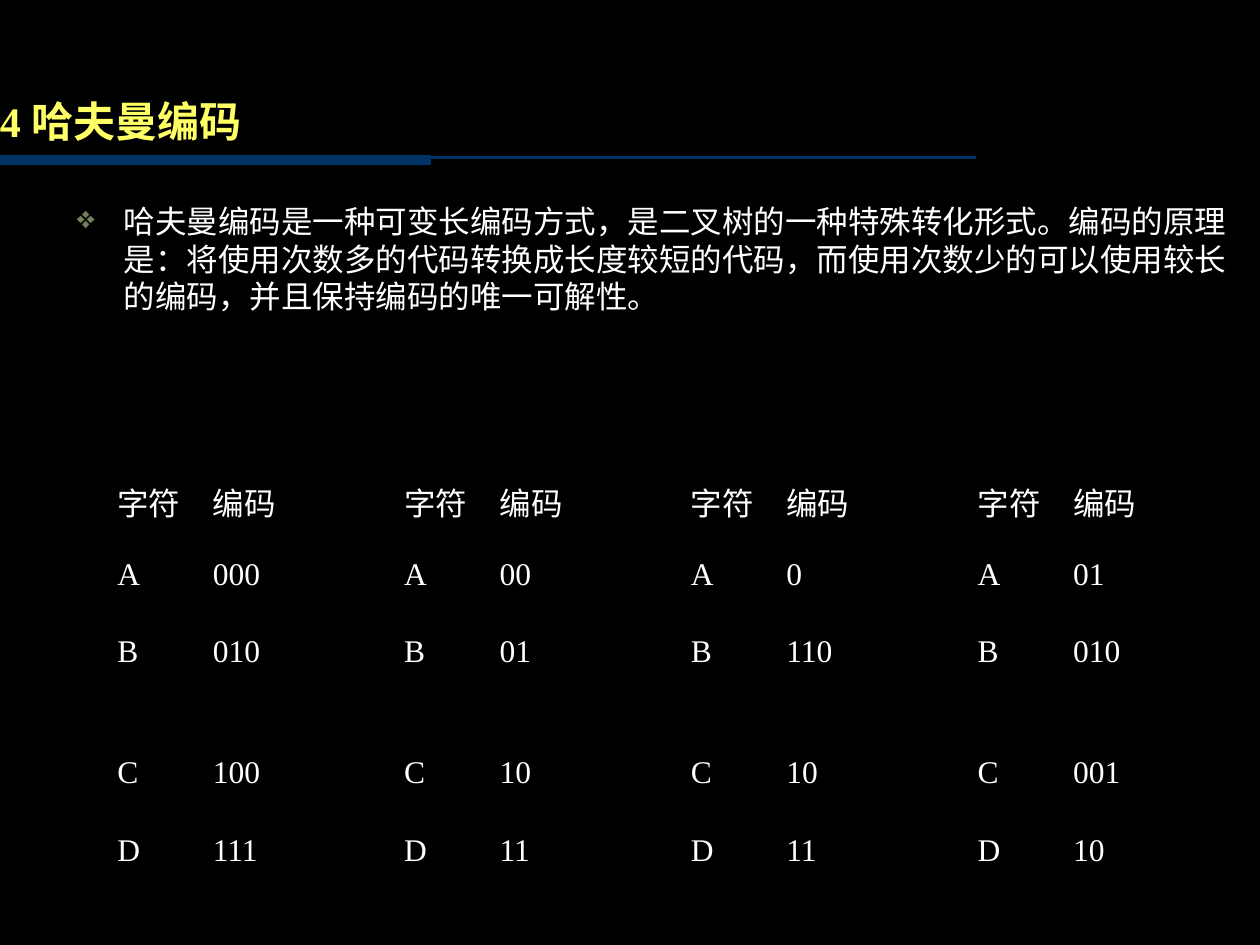
from lxml import etree
from pptx import Presentation
from pptx.dml.color import RGBColor
from pptx.enum.shapes import MSO_CONNECTOR
from pptx.oxml.ns import qn
from pptx.util import Cm, Pt

STRAIGHT = MSO_CONNECTOR.STRAIGHT
COLORS = {"background": "000000", "rule": "003366", "title": "FFFF66",
          "text": "FFFFFF", "bullet": "6E815B"}
HANGING = 0.95
TITLE = "4 哈夫曼编码"
BODY = ("哈夫曼编码是一种可变长编码方式，是二叉树的一种特殊转化形式。"
        "编码的原理是：将使用次数多的代码转换成长度较短的代码，"
        "而使用次数少的可以使用较长的编码，并且保持编码的唯一可解性。")
HEADER = ["字符", "编码"]
LETTERS = "ABCD"
CODINGS = [
    ["000", "010", "100", "111"],
    ["00", "01", "10", "11"],
    ["0", "110", "10", "11"],
    ["01", "010", "001", "10"],
]
ROW_HEIGHTS = [1.57, 1.57, 2.44, 1.57, 1.57]


def rgb(name):
    return RGBColor.from_string(COLORS[name])


def write(tf, text, size=18, color="text", bold=False, hanging=0, bullet=None):
    p = tf.paragraphs[0]
    pPr = p._p.get_or_add_pPr()
    if hanging:
        pPr.set("marL", str(Cm(hanging)))
        pPr.set("indent", str(-Cm(hanging)))
    if bullet:
        clr = etree.SubElement(pPr, qn("a:buClr"))
        etree.SubElement(clr, qn("a:srgbClr"), val=COLORS["bullet"])
        etree.SubElement(pPr, qn("a:buChar"), char=bullet)
    r = p.add_run()
    r.text = text
    r.font.name = "Times New Roman"
    r.font.size = Pt(size)
    r.font.bold = bold
    r.font.color.rgb = rgb(color)


class Deck:
    """Hold the presentation style and the current slide."""

    def __init__(self):
        self.prs = Presentation()
        self.prs.slide_width, self.prs.slide_height = Cm(25.4), Cm(19.05)
        self.s = self.prs.slides.add_slide(self.prs.slide_layouts[6])
        fill = self.s.background.fill
        fill.solid()
        fill.fore_color.rgb = rgb("background")

    def rule(self, x1, x2, y, width):
        line = self.s.shapes.add_connector(STRAIGHT, Cm(x1), Cm(y), Cm(x2), Cm(y))
        line.line.color.rgb = rgb("rule")
        line.line.width = Pt(width)
        etree.SubElement(line._element.spPr, qn("a:effectLst"))

    def text(self, text, x, y, w, h, inset=(0.25, 0.13), **style):
        tf = self.s.shapes.add_textbox(Cm(x), Cm(y), Cm(w), Cm(h)).text_frame
        tf.word_wrap = True
        tf.margin_left = tf.margin_right = Cm(inset[0])
        tf.margin_top = tf.margin_bottom = Cm(inset[1])
        write(tf, text, **style)

    def border(self, cell):
        tcPr = cell._tc.get_or_add_tcPr()
        for i, side in enumerate(("lnL", "lnR", "lnT", "lnB")):
            ln = etree.Element(qn(f"a:{side}"), w=str(Pt(0.45)))
            fill = etree.SubElement(ln, qn("a:solidFill"))
            etree.SubElement(fill, qn("a:srgbClr"), val=COLORS["background"])
            tcPr.insert(i, ln)

    def code_table(self, codings, x, y, w):
        cols = 3 * len(codings) - 1
        table = self.s.shapes.add_table(len(ROW_HEIGHTS), cols, Cm(x), Cm(y),
                                        Cm(w), Cm(sum(ROW_HEIGHTS))).table
        table.first_row = table.horz_banding = False
        for row, height in zip(table.rows, ROW_HEIGHTS):
            row.height = Cm(height)
        for cell in table.iter_cells():
            cell.fill.background()
            self.border(cell)
        for gap in range(2, cols, 3):
            table.cell(0, gap).merge(table.cell(len(ROW_HEIGHTS) - 1, gap))
        for i, codes in enumerate(codings):
            for row, pair in enumerate([HEADER, *zip(LETTERS, codes)]):
                for col, text in enumerate(pair, 3 * i):
                    write(table.cell(row, col).text_frame, text, hanging=HANGING)


def main():
    deck = Deck()
    deck.rule(19.68, 0, 3.17, 1.5)
    deck.rule(0, 8.68, 3.23, 6)
    deck.text(BODY, 1.3, 3.94, 24.1, 3.4, hanging=HANGING, bullet="❖")
    deck.text(TITLE, 0, 1.93, 17.86, 1.02, inset=(0, 0),
              size=24, color="title", bold=True)
    deck.code_table(CODINGS, 2.11, 9.53, 21.2)
    deck.prs.save("out.pptx")


if __name__ == "__main__":
    main()
